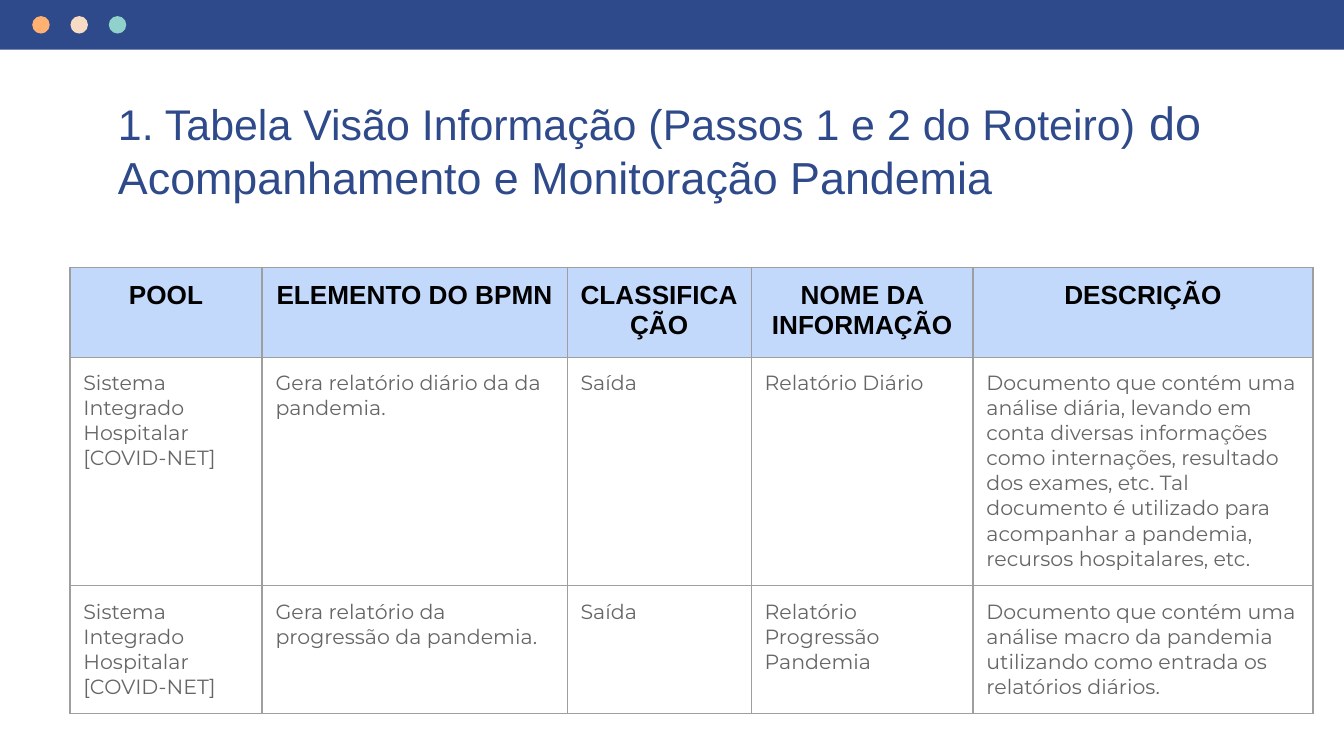
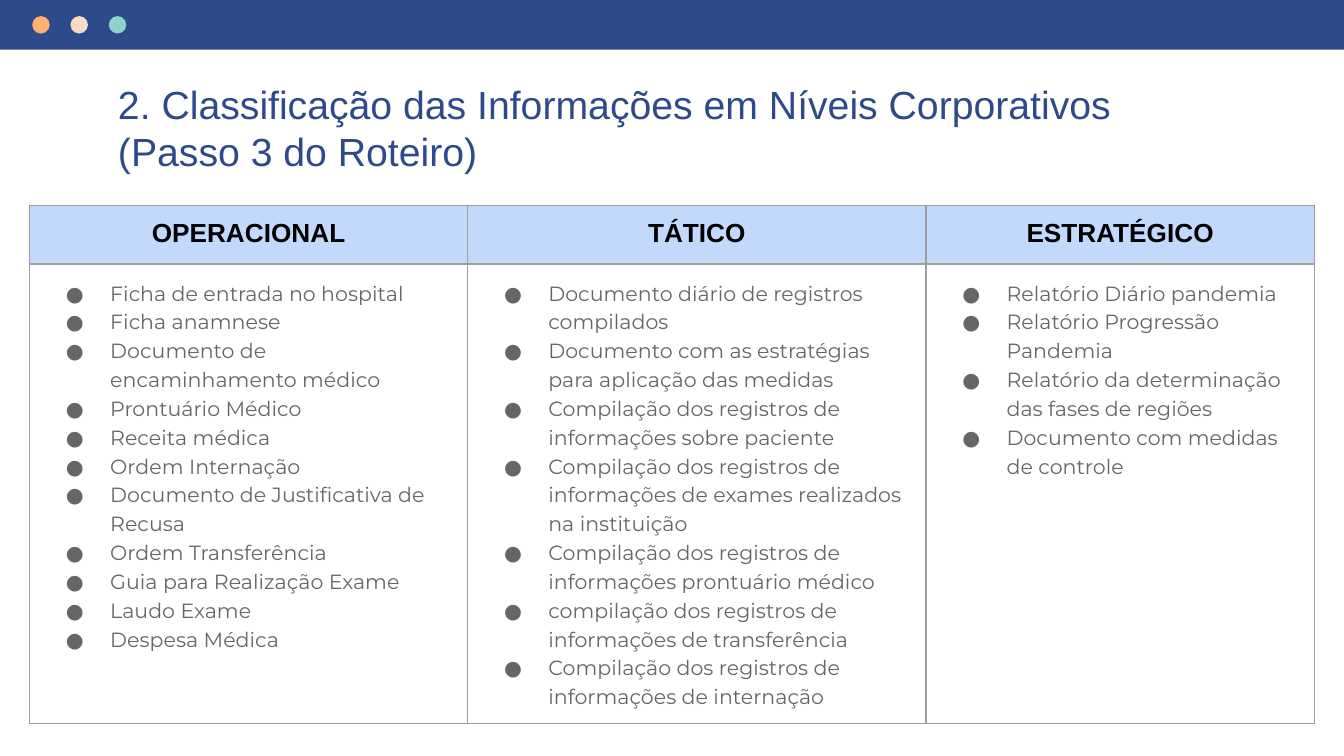
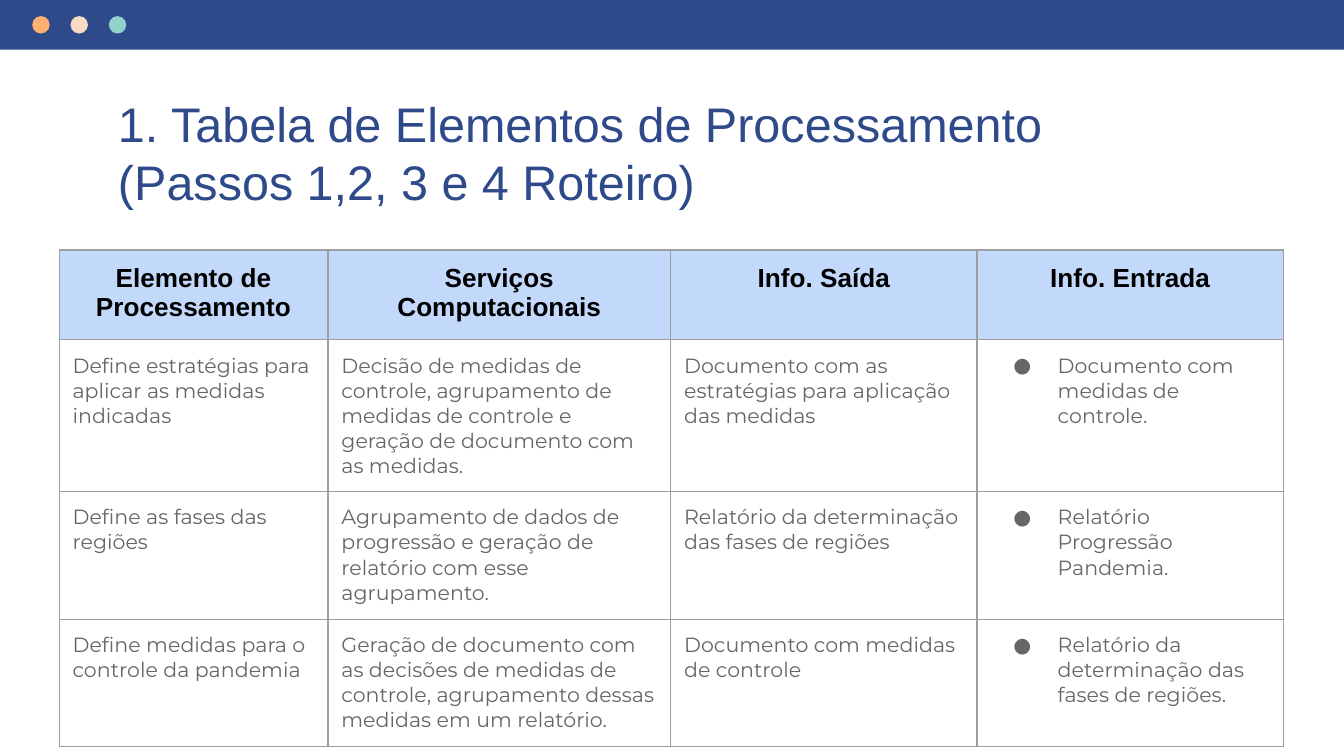
from lxml.etree import SubElement
from pptx import Presentation
from pptx.dml.color import RGBColor
from pptx.enum.shapes import MSO_SHAPE
from pptx.enum.text import MSO_ANCHOR, PP_ALIGN
from pptx.oxml.ns import qn
from pptx.util import Inches, Pt

NAVY = RGBColor(0x2F, 0x4A, 0x8A)
ORANGE = RGBColor(0xFF, 0xB1, 0x72)
CREAM = RGBColor(0xF8, 0xDB, 0xC4)
TEAL = RGBColor(0x90, 0xD1, 0xCB)
PALE_BLUE = RGBColor(0xC3, 0xD9, 0xFB)
GREY = RGBColor(0x66, 0x66, 0x66)
BORDER = RGBColor(0x9E, 0x9E, 0x9E)
BLACK = RGBColor(0, 0, 0)

HEADER_FONT = {"name": "Arial", "size": Pt(14), "bold": True}
BODY_FONT = {"name": "Montserrat", "size": Pt(11), "bold": False}
MARGINS = ("margin_left", "margin_top", "margin_right", "margin_bottom")

pages = [
    {
        "title": [
            ("1. Tabela Visão Informação (Passos 1 e 2 do Roteiro) ", 23),
            ("do ", 25),
            ("Acompanhamento e Monitoração Pandemia", 24),
        ],
        "title_top": 0.6,
        "title_height": 0.51,
        "table_at": (0.52, 1.99),
        "columns": [1.43, 2.27, 1.37, 1.65, 2.53],
        "rows": [0.63, 1.7, 0.95],
        "spacing": 1.0,
        "cells": [
            ["POOL", "ELEMENTO DO BPMN", "CLASSIFICAÇÃO", "NOME DA INFORMAÇÃO", "DESCRIÇÃO"],
            [
                "Sistema Integrado Hospitalar [COVID-NET]",
                "Gera relatório diário da da pandemia.",
                "Saída",
                "Relatório Diário",
                "Documento que contém uma análise diária, levando em conta diversas "
                "informações como internações, resultado dos exames, etc. Tal documento "
                "é utilizado para acompanhar a pandemia, recursos hospitalares, etc.",
            ],
            [
                "Sistema Integrado Hospitalar [COVID-NET]",
                "Gera relatório da progressão da pandemia.",
                "Saída",
                "Relatório Progressão Pandemia",
                "Documento que contém uma análise macro da pandemia utilizando como "
                "entrada os relatórios diários.",
            ],
        ],
    },
    {
        "title": [
            ("2. Classificação das Informações em Níveis Corporativos (Passo 3 do Roteiro)", 21),
        ],
        "title_top": 0.5,
        "title_height": 1.2,
        "table_at": (0.22, 1.53),
        "columns": [3.26, 3.41, 2.89],
        "rows": [0.42, 3.42],
        "spacing": 1.15,
        "cells": [
            ["OPERACIONAL", "TÁTICO", "ESTRATÉGICO"],
            [
                [
                    "Ficha de entrada no hospital",
                    "Ficha anamnese",
                    "Documento de encaminhamento médico",
                    "Prontuário Médico",
                    "Receita médica",
                    "Ordem Internação",
                    "Documento de Justificativa de Recusa",
                    "Ordem Transferência",
                    "Guia para Realização Exame",
                    "Laudo Exame",
                    "Despesa Médica",
                ],
                [
                    "Documento diário de registros compilados",
                    "Documento com as estratégias para aplicação das medidas",
                    "Compilação dos registros de informações sobre paciente",
                    "Compilação dos registros de informações de exames realizados na instituição",
                    "Compilação dos registros de informações prontuário médico",
                    "compilação dos registros de informações de transferência",
                    "Compilação dos registros de informações de internação",
                ],
                [
                    "Relatório Diário pandemia",
                    "Relatório Progressão Pandemia",
                    "Relatório da determinação das fases de regiões",
                    "Documento com medidas de controle",
                ],
            ],
        ],
    },
    {
        "title": [("1. Tabela de Elementos de Processamento (Passos 1,2, 3 e 4 Roteiro)", 26)],
        "title_top": 0.6,
        "title_height": 0.51,
        "table_at": (0.44, 1.86),
        "columns": [2, 2.55, 2.28, 2.28],
        "rows": [0.64, 1.13, 0.95, 0.95],
        "spacing": 1.0,
        "cells": [
            ["Elemento de Processamento", "Serviços Computacionais", "Info. Saída", "Info. Entrada"],
            [
                "Define estratégias para aplicar as medidas indicadas",
                "Decisão de medidas de controle, agrupamento de medidas de controle e "
                "geração de documento com as medidas.",
                "Documento com as estratégias para aplicação das medidas",
                ["Documento com medidas de controle."],
            ],
            [
                "Define as fases das regiões",
                "Agrupamento de dados de progressão e geração de relatório com esse agrupamento.",
                "Relatório da determinação das fases de regiões",
                ["Relatório Progressão Pandemia."],
            ],
            [
                "Define medidas para o controle da pandemia",
                "Geração de documento com as decisões de medidas de controle, "
                "agrupamento dessas medidas em um relatório.",
                "Documento com medidas de controle",
                ["Relatório da determinação das fases de regiões."],
            ],
        ],
    },
]


def add_span(para, text, color, font_values):
    span = para.add_run()
    span.text = text
    for name, value in font_values.items():
        setattr(span.font, name, value)
    span.font.color.rgb = color


def add_bullet(para):
    properties = para._p.get_or_add_pPr()
    properties.set("marL", str(Inches(0.5)))
    properties.set("indent", str(-Inches(0.33)))
    bullet_color = SubElement(properties, qn("a:buClr"))
    SubElement(bullet_color, qn("a:srgbClr"), val=str(GREY))
    SubElement(properties, qn("a:buFont"), typeface="Montserrat")
    SubElement(properties, qn("a:buChar"), char="●")


deck = Presentation()
deck.slide_width = Inches(10)
deck.slide_height = Inches(10) * 9 // 16

for content in pages:
    page = deck.slides.add_slide(deck.slide_layouts[6])

    header_shapes = [(MSO_SHAPE.RECTANGLE, 0, 0, 10, 0.37, NAVY)]
    for index, color in enumerate((ORANGE, CREAM, TEAL)):
        header_shapes.append((MSO_SHAPE.OVAL, 0.24 + index * 0.285, 0.12, 0.13, 0.13, color))
    for kind, left, top, width, height, color in header_shapes:
        shape = page.shapes.add_shape(kind, Inches(left), Inches(top), Inches(width), Inches(height))
        shape.shadow.inherit = False
        shape.fill.solid()
        shape.fill.fore_color.rgb = color
        shape.line.fill.background()

    box = page.shapes.add_textbox(
        Inches(0.78), Inches(content["title_top"]), Inches(8.44), Inches(content["title_height"])
    )
    frame = box.text_frame
    frame.word_wrap = True
    frame.vertical_anchor = MSO_ANCHOR.TOP
    for margin in MARGINS:
        setattr(frame, margin, Inches(0.1))
    para = frame.paragraphs[0]
    for text, size in content["title"]:
        add_span(para, text, NAVY, {"name": "Arial", "size": Pt(size)})

    columns, rows = content["columns"], content["rows"]
    left, top = content["table_at"]
    table = page.shapes.add_table(
        len(rows), len(columns), Inches(left), Inches(top), Inches(sum(columns)), Inches(sum(rows))
    ).table
    table.horz_banding = False
    for column, width in zip(table.columns, columns):
        column.width = Inches(width)
    for row, height in zip(table.rows, rows):
        row.height = Inches(height)

    for row_index, row_content in enumerate(content["cells"]):
        for column_index, entry in enumerate(row_content):
            cell = table.cell(row_index, column_index)
            for margin in MARGINS:
                setattr(cell, margin, Inches(0.1))
            for side in ("lnL", "lnR", "lnT", "lnB"):
                line = SubElement(cell._tc.get_or_add_tcPr(), qn(f"a:{side}"), w=str(Pt(0.75)))
                fill = SubElement(line, qn("a:solidFill"))
                SubElement(fill, qn("a:srgbClr"), val=str(BORDER))

            is_header = row_index == 0
            if is_header:
                cell.fill.solid()
                cell.fill.fore_color.rgb = PALE_BLUE
            else:
                cell.fill.background()

            is_list = isinstance(entry, list)
            for index, text in enumerate(entry if is_list else [entry]):
                para = cell.text_frame.paragraphs[0] if index == 0 else cell.text_frame.add_paragraph()
                if is_list:
                    add_bullet(para)
                    para.line_spacing = content["spacing"]
                if is_header:
                    para.alignment = PP_ALIGN.CENTER
                    add_span(para, text, BLACK, HEADER_FONT)
                else:
                    add_span(para, text, GREY, BODY_FONT)

deck.save("out.pptx")
